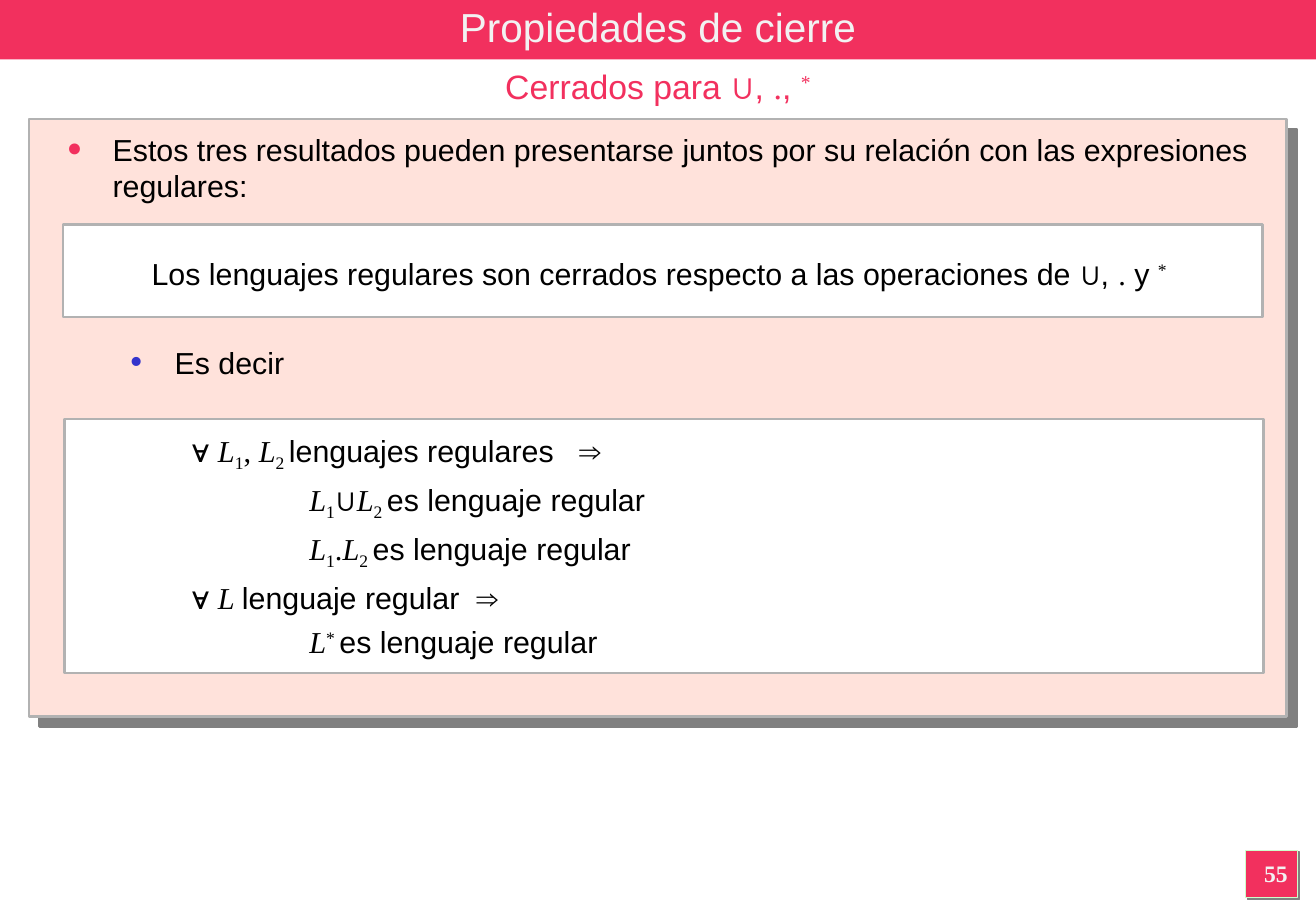
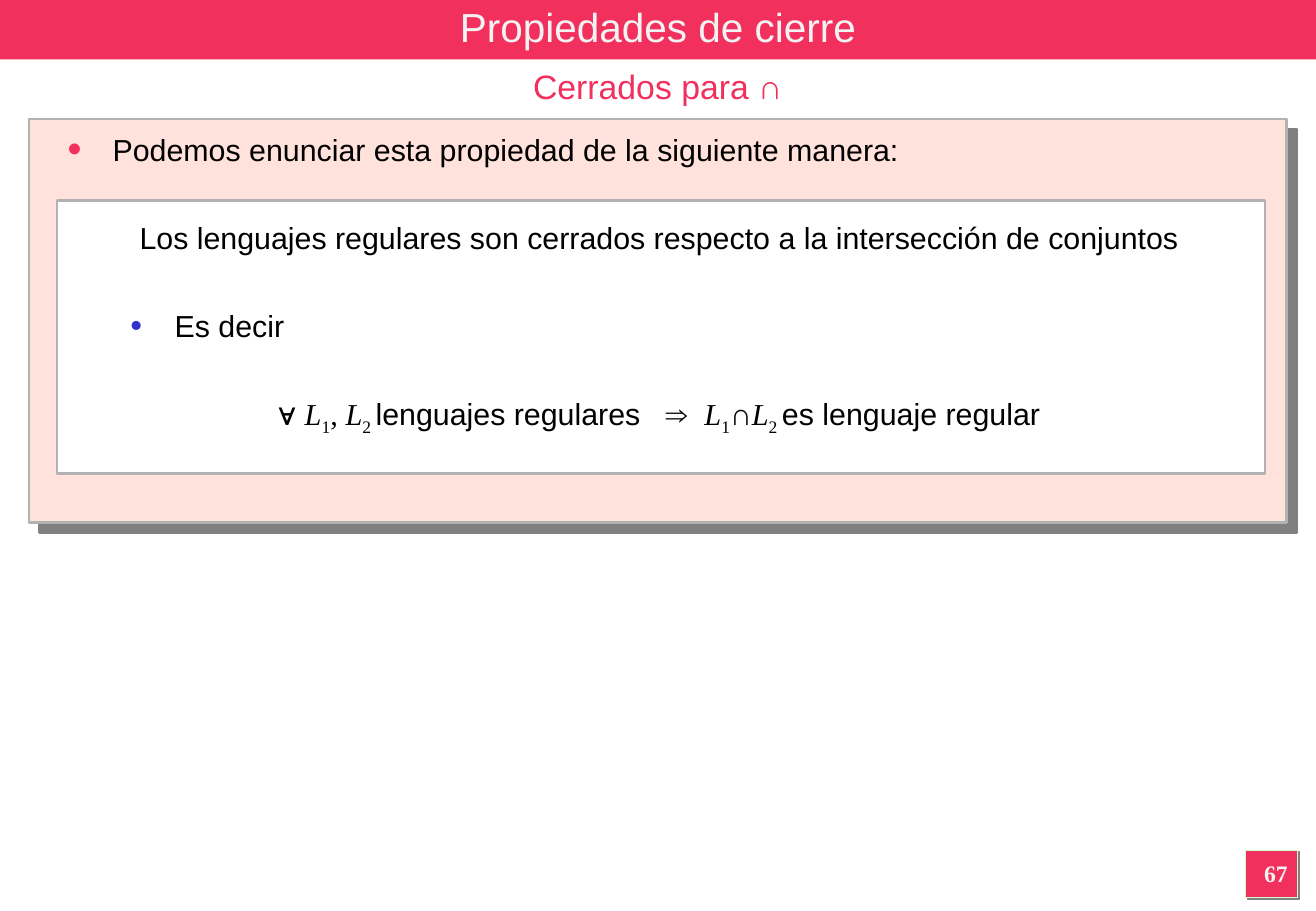
from lxml.etree import SubElement
from pptx import Presentation
from pptx.dml.color import RGBColor
from pptx.enum.shapes import MSO_SHAPE
from pptx.enum.text import MSO_ANCHOR, PP_ALIGN
from pptx.oxml.ns import qn
from pptx.util import Pt

EMU_PER_PX = 9144
ROSE, PINK, WHITE, GREY = "F2305E", "FFE2DB", "FFFFFF", "B2B2B2"
PALE, BLACK, BLUE, MINT, SHADE = "F2F2F2", "000000", "3333CC", "CCFFCC", "808080"
SANS, SERIF = "Arial", "Times New Roman"
LINE_GAP, BLOCK_GAP = 4.5, 30.6

PLAIN = {}
ROMAN = {"face": SERIF}
VARIABLE = {"face": SERIF, "italic": True}
SUBSCRIPT = {"face": SERIF, "baseline": -25000}
SUPERSCRIPT = {"face": SERIF, "baseline": 30000}
WIDE, WIDER = {"spacing": 500}, {"spacing": 1000}
L1 = [("L", VARIABLE), ("1", SUBSCRIPT)]
L2 = [("L", VARIABLE), ("2 ", SUBSCRIPT)]
REGULAR = [("es lenguaje regular", PLAIN)]
FOR_ALL_PAIRS = [("∀ ", PLAIN), *L1, (", ", ROMAN), *L2,
                 ("lenguajes regulares", PLAIN), (" ", WIDER), ("⇒", PLAIN)]


def px(*lengths):
    """Turn px lengths into EMU."""
    return [length * EMU_PER_PX for length in lengths]


def rgb(hex_code):
    """Turn a hex string into a colour."""
    return RGBColor.from_string(hex_code)


def add_panel(slide, box, fill, line=None, weight=1.5, shadow=0):
    """Draw a filled rectangle with an optional border and hard shadow in points."""
    panel = slide.shapes.add_shape(MSO_SHAPE.RECTANGLE, *px(*box))
    panel.shadow.inherit = False
    panel.fill.solid()
    panel.fill.fore_color.rgb = rgb(fill)
    if line:
        panel.line.color.rgb = rgb(line)
        panel.line.width = Pt(weight)
    else:
        panel.line.fill.background()
    if shadow:
        effects = panel._element.spPr.find(qn("a:effectLst"))
        cast = SubElement(effects, qn("a:outerShdw"), dist=str(Pt(shadow)),
                          dir="2700000", algn="ctr", rotWithShape="0")
        SubElement(cast, qn("a:srgbClr"), val=SHADE)


def add_text_frame(slide, box, anchor=MSO_ANCHOR.TOP):
    """Add an empty wrapping text box and return its frame."""
    frame = slide.shapes.add_textbox(*px(*box)).text_frame
    frame.word_wrap = True
    frame.vertical_anchor = anchor
    return frame


def add_bullet(paragraph, color, percent):
    """Give a paragraph a round bullet."""
    properties = paragraph._p.get_or_add_pPr()
    tint = SubElement(properties, qn("a:buClr"))
    SubElement(tint, qn("a:srgbClr"), val=color)
    SubElement(properties, qn("a:buSzPct"), val=str(percent * 1000))
    SubElement(properties, qn("a:buFont"), typeface=SERIF)
    SubElement(properties, qn("a:buChar"), char="•")


def write(paragraph, runs, size, color=BLACK, face=SANS, bold=False, align=PP_ALIGN.LEFT,
          left=0, hanging=0, before=0, bullet=None):
    """Fill one paragraph with styled runs."""
    paragraph.alignment = align
    paragraph.space_before = Pt(before)
    properties = paragraph._p.get_or_add_pPr()
    margin, indent = px(left, -hanging)
    properties.set("marL", str(margin))
    properties.set("indent", str(indent))
    if bullet:
        add_bullet(paragraph, *bullet)
    font = paragraph.font
    font.size, font.name, font.bold = Pt(size), face, bold
    font.color.rgb = rgb(color)
    for text, style in runs:
        run = paragraph.add_run()
        run.text = text
        if "face" in style:
            run.font.name = style["face"]
        if "italic" in style:
            run.font.italic = True
        for attribute, key in (("baseline", "baseline"), ("spc", "spacing")):
            if key in style:
                run._r.get_or_add_rPr().set(attribute, str(style[key]))


def add_label(slide, box, runs, size, color, anchor=MSO_ANCHOR.TOP, **style):
    """Write one centred line in a box."""
    frame = add_text_frame(slide, box, anchor)
    write(frame.paragraphs[0], runs, size, color, align=PP_ALIGN.CENTER, **style)


def add_header(slide, box, subtitle):
    """Draw the title band with the subtitle under it."""
    left, top, width, height = box
    add_panel(slide, box, ROSE)
    add_label(slide, (left, top, width, 44), [("Propiedades de cierre", PLAIN)],
              24, PALE, MSO_ANCHOR.MIDDLE)
    add_label(slide, (left, top + height, width, 44), subtitle, 20, ROSE)


def add_page_badge(slide, box, number):
    """Draw the page number on its small square."""
    left, top, _, _ = box
    add_panel(slide, box, ROSE, MINT, 0.75, 1.4)
    add_label(slide, (left - 2, top + 2, 54, 35), [(number, PLAIN)],
              14, PALE, face=SERIF, bold=True)


def add_content(slide, box, inner_boxes, lines):
    """Draw the pink card, its white boxes and the text over them."""
    left, top, _, _ = box
    add_panel(slide, box, PINK, GREY, shadow=8.5)
    for x, y, width, height in inner_boxes:
        add_panel(slide, (left + x, top + y, width, height), WHITE, GREY)
    frame = add_text_frame(slide, (left + 21, top + 5, 996, 590))
    for index, (runs, style) in enumerate(lines):
        paragraph = frame.add_paragraph() if index else frame.paragraphs[0]
        write(paragraph, runs, 18, **style)


def build_slide(deck, number, subtitle, card_height, inner_boxes, lines):
    """Build one slide on closure properties."""
    slide = deck.slides.add_slide(deck.slide_layouts[6])
    add_page_badge(slide, (1026, 700, 43, 39), number)
    add_header(slide, (0, 0, 1084, 49), subtitle)
    add_content(slide, (24, 98, 1036, card_height), inner_boxes, lines)


def main():
    """Build and save the deck."""
    deck = Presentation()
    deck.slide_width, deck.slide_height = px(1084, 750)
    lead = dict(left=38, hanging=38, bullet=(ROSE, 150))
    claim = dict(left=38, hanging=38, align=PP_ALIGN.CENTER, before=BLOCK_GAP)
    that_is = ([("Es decir", PLAIN)],
               dict(left=89, hanging=37, bullet=(BLUE, 125), before=BLOCK_GAP))
    premise = dict(left=141, hanging=38, before=LINE_GAP)
    result = dict(left=238, hanging=38, before=LINE_GAP)

    build_slide(
        deck, "55",
        [("Cerrados para ∪, ", PLAIN), (".", ROMAN), (", ", PLAIN), ("*", SUPERSCRIPT)],
        492, [(29, 247, 988, 209), (28, 87, 988, 76)],
        [([("Estos tres resultados pueden presentarse juntos por su relación con las "
            "expresiones regulares:", PLAIN)], lead),
         ([("Los lenguajes regulares son cerrados respecto a las operaciones de ∪, ", PLAIN),
           (".", ROMAN), (" y ", PLAIN), ("*", SUPERSCRIPT)], claim),
         that_is,
         (FOR_ALL_PAIRS, {**premise, "before": BLOCK_GAP}),
         ([*L1, ("∪", PLAIN), *L2, *REGULAR], result),
         ([*L1, (".", ROMAN), *L2, *REGULAR], result),
         ([("∀ ", PLAIN), ("L ", VARIABLE), ("lenguaje regular", PLAIN),
           (" ", WIDE), ("⇒", PLAIN)], premise),
         ([("L", VARIABLE), ("* ", SUPERSCRIPT), *REGULAR], result)])

    build_slide(
        deck, "67", [("Cerrados para ∩", PLAIN)],
        332, [(23, 67, 995, 225)],
        [([("Podemos enunciar esta propiedad de la siguiente manera:", PLAIN)], lead),
         ([("Los lenguajes regulares son cerrados respecto a la intersección de conjuntos",
            PLAIN)], claim),
         that_is,
         ([*FOR_ALL_PAIRS, (" ", WIDE), *L1, ("∩", PLAIN), *L2, *REGULAR], claim)])
    deck.save("out.pptx")


if __name__ == "__main__":
    main()
